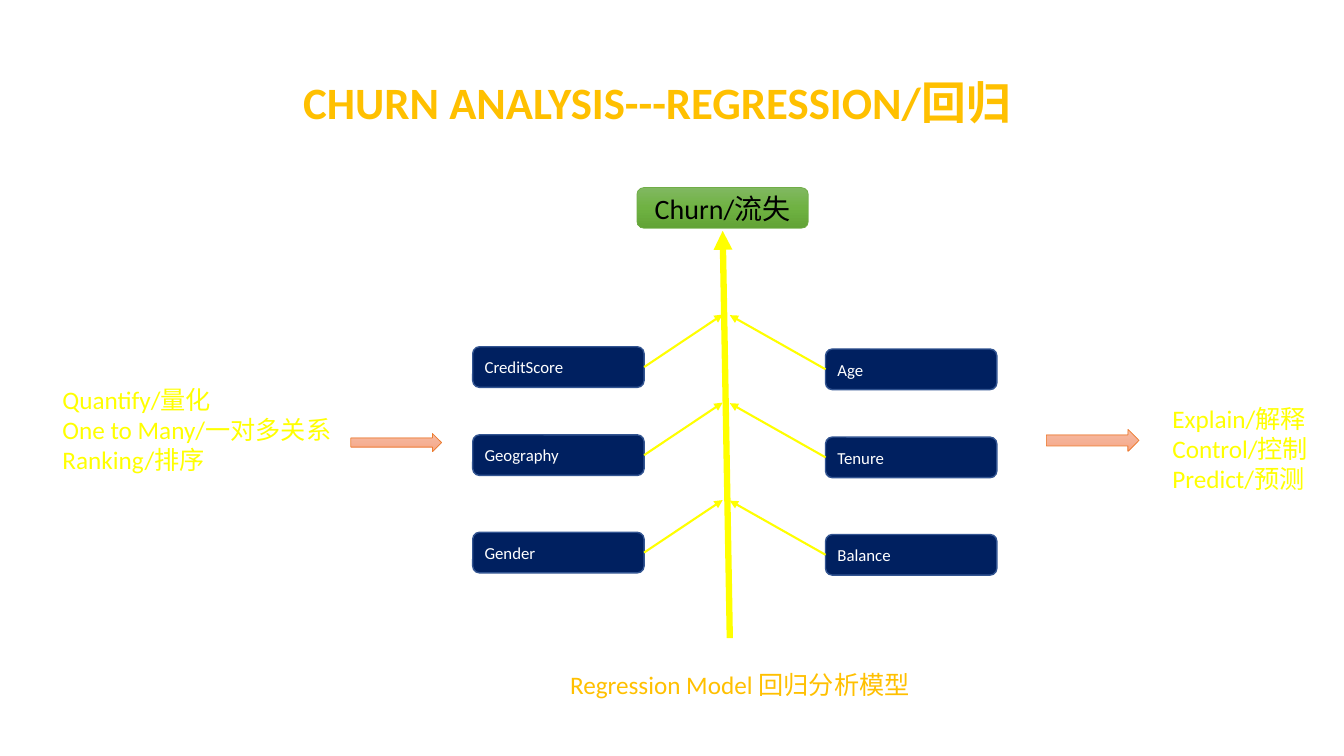
import copy
import pptx
import pptx.util
import pptx.dml.color
import pptx.enum.shapes
import pptx.enum.text
import pptx.oxml.ns
import pptx.oxml.xmlchemy

Pt = pptx.util.Pt
RGBColor = pptx.dml.color.RGBColor
Form = pptx.enum.shapes.MSO_SHAPE
Align = pptx.enum.text.PP_ALIGN
Anchor = pptx.enum.text.MSO_ANCHOR
qn = pptx.oxml.ns.qn
Element = pptx.oxml.xmlchemy.OxmlElement

GOLD = RGBColor(0xFF, 0xC0, 0x00)
YELLOW = RGBColor(0xFF, 0xFF, 0x00)
NAVY = RGBColor(0x00, 0x20, 0x60)
BLUE = RGBColor(0x32, 0x54, 0x91)
WHITE = RGBColor(0xFF, 0xFF, 0xFF)
BLACK = RGBColor(0x00, 0x00, 0x00)
GREEN = RGBColor(0x70, 0xAD, 0x47)
ORANGE = RGBColor(0xED, 0x7D, 0x31)
LEAVES = (RGBColor(0x81, 0xB8, 0x61), RGBColor(0x6F, 0xB2, 0x42), RGBColor(0x62, 0xA3, 0x36))
PEACHES = (RGBColor(0xF7, 0xBD, 0xA5), RGBColor(0xF5, 0xB1, 0x96), RGBColor(0xF8, 0xA5, 0x82))

BOX_W, BOX_H = 122.4, 29
LEFT_X, RIGHT_X = 337.7, 589.7
ROWS = (
    (247.7, "CreditScore", "Age"),
    (310.6, "Geography", "Tenure"),
    (380.2, "Gender", "Balance"),
)


def apply(target, values):
    for name, value in values.items():
        setattr(target, name, value)


def place(item, left, top, width, height):
    apply(item, {"left": Pt(left), "top": Pt(top), "width": Pt(width), "height": Pt(height)})


def write(item, text, size, color, align=Align.LEFT, bold=False, **frame):
    body = item.text_frame
    body.text = text
    apply(body, {"word_wrap": True, "auto_size": pptx.enum.text.MSO_AUTO_SIZE.NONE, **frame})
    for line in body.paragraphs:
        apply(line, {"alignment": align, "space_before": Pt(0)})
        apply(line.runs[0].font, {"name": "Calibri", "size": Pt(size), "bold": bold})
        line.runs[0].font.color.rgb = color


def add_list(holder, text, *area):
    place(holder, *area)
    write(holder, text, 18, YELLOW, vertical_anchor=Anchor.TOP)
    for line in holder.text_frame.paragraphs:
        props = line._p.get_or_add_pPr()
        props.set("marL", "0")
        props.set("indent", "0")
        props.append(Element("a:buNone"))


def add_form(slide, form, area, edge, width):
    item = slide.shapes.add_shape(form, *map(Pt, area))
    item.shadow.inherit = False
    item.line.color.rgb = edge
    item.line.width = Pt(width)
    return item


def shade(item, colors):
    item.fill.gradient()
    item.fill.gradient_angle = 270
    stops = item._element.spPr.find(".//" + qn("a:gsLst"))
    middle = copy.deepcopy(stops[0])
    middle.set("pos", "50000")
    stops.insert(1, middle)
    for stop, color in zip(item.fill.gradient_stops, colors):
        stop.color.rgb = color


def add_box(slide, text, left, top):
    box = add_form(slide, Form.ROUNDED_RECTANGLE, (left, top, BOX_W, BOX_H), BLUE, 1)
    box.fill.solid()
    box.fill.fore_color.rgb = NAVY
    write(box, text, 12, WHITE, vertical_anchor=Anchor.MIDDLE)


def add_link(slide, start, end, width):
    link = slide.shapes.add_connector(
        pptx.enum.shapes.MSO_CONNECTOR.STRAIGHT, *map(Pt, start + end))
    link.line.color.rgb = YELLOW
    link.line.width = Pt(width)
    tip = Element("a:tailEnd")
    tip.set("type", "triangle")
    link.line._get_or_add_ln().append(tip)
    link._element.spPr.append(Element("a:effectLst"))


def add_arrow(slide, *area):
    shade(add_form(slide, Form.RIGHT_ARROW, area, ORANGE, 0.5), PEACHES)


def main():
    deck = pptx.Presentation()
    apply(deck, {"slide_width": Pt(960), "slide_height": Pt(540)})
    slide = deck.slides.add_slide(deck.slide_layouts[3])
    title, causes, goals = slide.placeholders

    place(title, 199.5, 3, 540, 119)
    write(title, "CHURN ANALYSIS---REGRESSION/回归", 32, GOLD, Align.CENTER, True,
          vertical_anchor=Anchor.MIDDLE, margin_top=Pt(24))
    add_list(causes, "Quantify/量化\nOne to Many/一对多关系\nRanking/排序", 37.4, 270.7, 222, 73)
    add_list(goals, "Explain/解释\nControl/控制\nPredict/预测", 830.2, 284.4, 129, 73)

    label = slide.shapes.add_textbox(Pt(345), Pt(474.5), Pt(367), Pt(29))
    write(label, "Regression Model 回归分析模型", 18, GOLD, Align.CENTER)

    add_link(slide, (521.3, 455.8), (516.2, 164.9), 4.5)
    for top, left_name, right_name in ROWS:
        add_box(slide, left_name, LEFT_X, top)
        add_box(slide, right_name, RIGHT_X, top + 1.6)
        middle = top + BOX_H / 2
        add_link(slide, (LEFT_X + BOX_W, middle), (516.2, top - 23), 1.5)
        add_link(slide, (RIGHT_X, middle + 1.6), (521.3, top - 22.6), 1.5)

    churn = add_form(slide, Form.ROUNDED_RECTANGLE, (455, 134, BOX_W, BOX_H), GREEN, 0.5)
    shade(churn, LEAVES)
    write(churn, "Churn/流失", 20, BLACK, Align.CENTER, vertical_anchor=Anchor.MIDDLE)

    add_arrow(slide, 250.6, 309.6, 64.8, 13)
    add_arrow(slide, 747.4, 306.7, 66.2, 15.8)
    deck.save("out.pptx")


if __name__ == "__main__":
    main()
